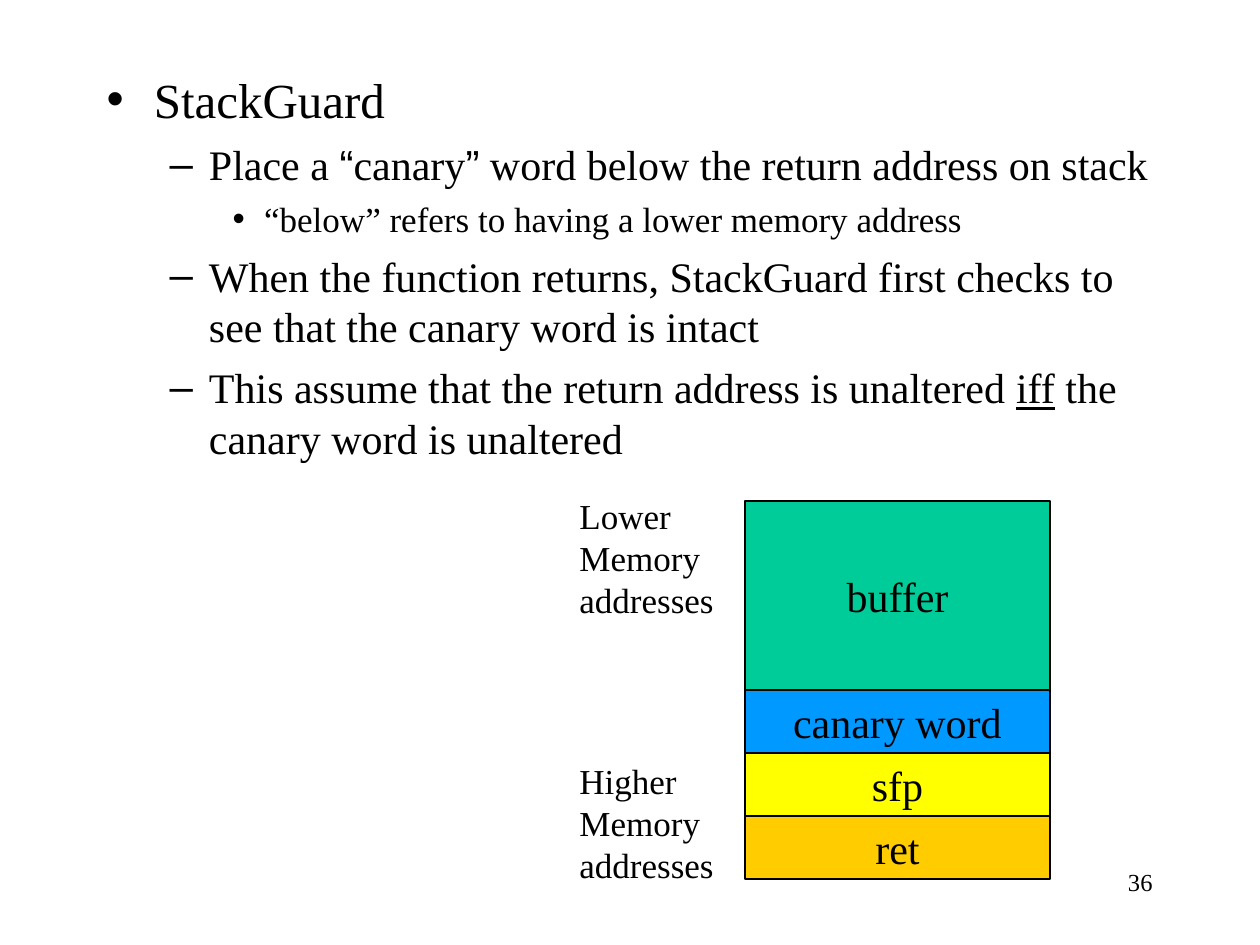
import dataclasses

import pptx
import pptx.dml.color
import pptx.enum.shapes
import pptx.enum.text
import pptx.util

PX = 914400 / 126
SERIF, SANS = "Times New Roman", "Arial"
BLACK = "000000"
ALIGN = pptx.enum.text.PP_ALIGN
AUTO_SIZE = pptx.enum.text.MSO_AUTO_SIZE


@dataclasses.dataclass
class Run:
    text: str
    font: str | None = None
    underline: bool | None = None


@dataclasses.dataclass
class Point:
    level: int
    runs: list[Run]


@dataclasses.dataclass
class Region:
    name: str
    height: int
    fill: str


POINTS = [
    Point(0, [Run("StackGuard")]),
    Point(1, [Run("Place a ", SERIF), Run("“", SANS), Run("canary", SERIF), Run("”", SANS),
              Run(" word below the return address on stack", SERIF)]),
    Point(2, [Run("“below” refers to having a lower memory address")]),
    Point(1, [Run("When the function returns, StackGuard first checks to "
                  "see that the canary word is intact")]),
    Point(1, [Run("This assume that the return address is unaltered "),
              Run("iff", underline=True), Run(" the canary word is unaltered")]),
]
LEVEL_SIZES = [28, 24, 20]
LEVEL_GAPS = [7, 6, 5]

# Stack regions from lower to higher addresses
REGIONS = [
    Region("buffer", 189, "00CC99"),
    Region("canary word", 63, "0099FF"),
    Region("sfp", 63, "FFFF00"),
    Region("ret", 63, "FFCC00"),
]
STACK_LEFT, STACK_TOP, STACK_WIDTH = 745, 501, 305


def px(length: int) -> int:
    return round(length * PX)


def color(code: str) -> pptx.dml.color.RGBColor:
    return pptx.dml.color.RGBColor.from_string(code)


def style(paragraph, size: int, font: str | None = SERIF) -> None:
    paragraph.font.size = pptx.util.Pt(size)
    paragraph.font.color.rgb = color(BLACK)
    if font:
        paragraph.font.name = font


def write_points(body, points: list[Point]) -> None:
    body.left, body.top, body.width, body.height = map(px, (94, 63, 1071, 777))
    frame = body.text_frame
    frame.auto_size = AUTO_SIZE.NONE
    for index, point in enumerate(points):
        paragraph = frame.add_paragraph() if index else frame.paragraphs[0]
        paragraph.level = point.level
        paragraph.space_before = pptx.util.Pt(LEVEL_GAPS[point.level] if index else 0)
        mixed = any(part.font for part in point.runs)
        style(paragraph, LEVEL_SIZES[point.level], None if mixed else SERIF)
        for part in point.runs:
            run = paragraph.add_run()
            run.text = part.text
            if part.font:
                run.font.name = part.font
            if part.underline:
                run.font.underline = True


def add_label(slide, left: int, top: int, width: int, height: int, lines: list[str],
              size: int, align=ALIGN.LEFT, wrap: bool = False) -> None:
    frame = slide.shapes.add_textbox(*map(px, (left, top, width, height))).text_frame
    frame.word_wrap = wrap
    frame.auto_size = AUTO_SIZE.NONE if wrap else AUTO_SIZE.SHAPE_TO_FIT_TEXT
    for index, line in enumerate(lines):
        paragraph = frame.add_paragraph() if index else frame.paragraphs[0]
        paragraph.text = line
        paragraph.alignment = align
        style(paragraph, size)


def add_region(slide, region: Region, top: int) -> None:
    box = slide.shapes.add_shape(pptx.enum.shapes.MSO_SHAPE.RECTANGLE,
                                 *map(px, (STACK_LEFT, top, STACK_WIDTH, region.height)))
    box.shadow.inherit = False
    box.fill.solid()
    box.fill.fore_color.rgb = color(region.fill)
    box.line.color.rgb = color(BLACK)
    box.line.width = pptx.util.Pt(0.75)
    box.text_frame.word_wrap = False
    paragraph = box.text_frame.paragraphs[0]
    paragraph.text = region.name
    paragraph.alignment = ALIGN.CENTER
    style(paragraph, 24)


def main() -> None:
    deck = pptx.Presentation()
    deck.slide_width, deck.slide_height = px(1260), px(945)
    slide = deck.slides.add_slide(deck.slide_layouts[1])

    # Bulleted text, with no title on this slide
    title = slide.shapes.title.element
    title.getparent().remove(title)
    write_points(slide.placeholders[1], POINTS)

    # Slide number
    add_label(slide, 903, 861, 262, 63, ["36"], 14, ALIGN.RIGHT, wrap=True)

    # Address labels beside the stack
    for end, top in (("Lower", 488), ("Higher", 753)):
        add_label(slide, 567, top, 160, 139, [end, "Memory", "addresses"], 20)

    # Stack diagram
    top = STACK_TOP
    for region in REGIONS:
        add_region(slide, region, top)
        top += region.height

    deck.save("out.pptx")


if __name__ == "__main__":
    main()
